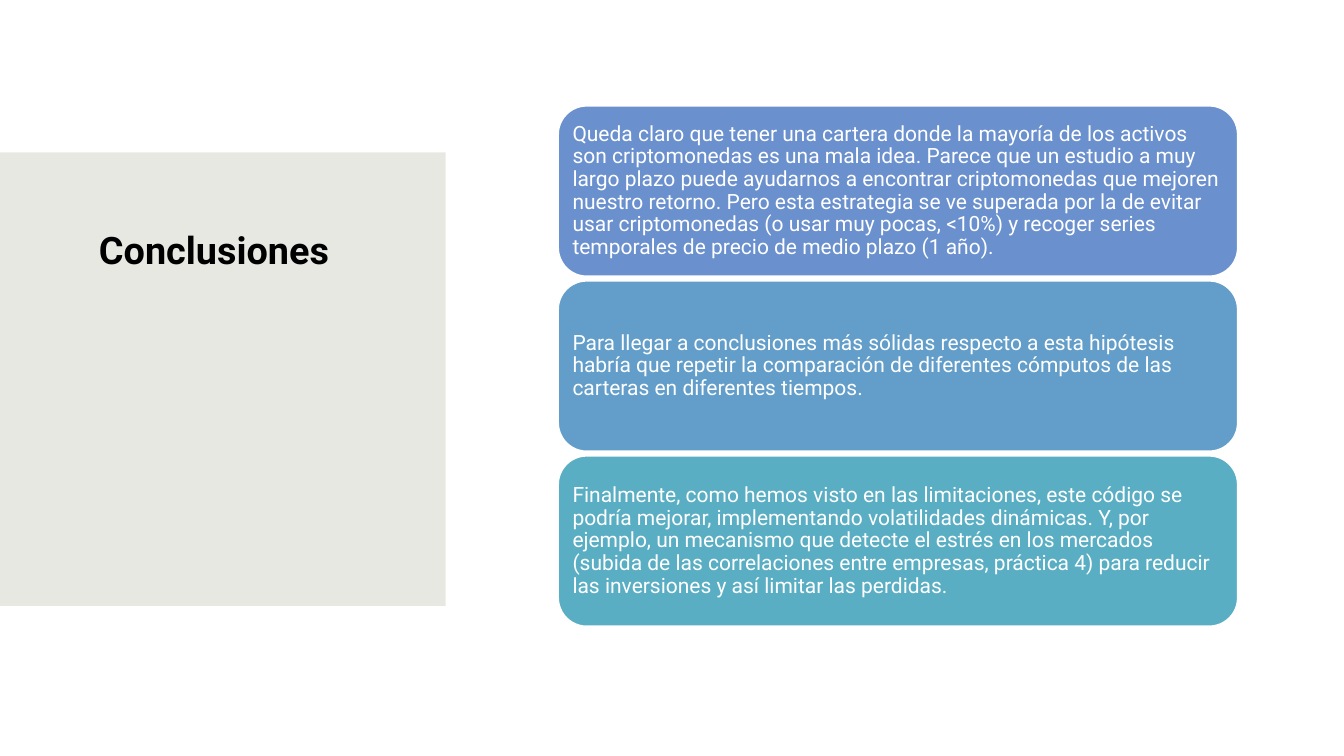
import pptx
import pptx.dml.color
import pptx.enum.shapes
import pptx.enum.text
import pptx.util

Cm = pptx.util.Cm
Pt = pptx.util.Pt
SHAPE = pptx.enum.shapes.MSO_SHAPE
ANCHOR = pptx.enum.text.MSO_ANCHOR

FONT = "Roboto"
CARD_TOP = 2.67
CARD_STEP = 4.41
CONCLUSIONS = [
    ("6A90CE", "Queda claro que tener una cartera donde la mayoría de los activos son "
     "criptomonedas es una mala idea. Parece que un estudio a muy largo plazo puede "
     "ayudarnos a encontrar criptomonedas que mejoren nuestro retorno. Pero esta "
     "estrategia se ve superada por la de evitar usar criptomonedas (o usar muy pocas, "
     "<10%) y recoger series temporales de precio de medio plazo (1 año)."),
    ("629EC9", "Para llegar a conclusiones más sólidas respecto a esta hipótesis habría "
     "que repetir la comparación de diferentes cómputos de las carteras en diferentes "
     "tiempos."),
    ("5AAEC3", "Finalmente, como hemos visto en las limitaciones, este código se podría "
     "mejorar, implementando volatilidades dinámicas. Y, por ejemplo, un mecanismo que "
     "detecte el estrés en los mercados (subida de las correlaciones entre empresas, "
     "práctica 4) para reducir las inversiones y así limitar las perdidas."),
]


def color(value):
    return pptx.dml.color.RGBColor.from_string(value)


def add_box(slide, kind, left, top, width, height, fill):
    box = slide.shapes.add_shape(kind, Cm(left), Cm(top), Cm(width), Cm(height))
    box.shadow.inherit = False
    box.fill.solid()
    box.fill.fore_color.rgb = color(fill)
    return box


def write_text(box, text, size, ink, anchor, bold=False):
    frame = box.text_frame
    frame.text = text
    frame.word_wrap = True
    frame.auto_size = pptx.enum.text.MSO_AUTO_SIZE.NONE
    frame.vertical_anchor = anchor
    para = frame.paragraphs[0]
    para.alignment = pptx.enum.text.PP_ALIGN.LEFT
    para.line_spacing = 0.9
    para.font.name = FONT
    para.font.size = Pt(size)
    para.font.bold = bold
    para.font.color.rgb = color(ink)


def add_title(slide, text):
    title = slide.shapes.title
    title.left, title.top = Cm(2.24), Cm(5.72)
    title.width, title.height = Cm(7.32), Cm(7.37)
    write_text(title, text, 27, "000000", ANCHOR.TOP, bold=True)
    panel = add_box(slide, SHAPE.RECTANGLE, 0, 3.84, 11.23, 11.43, "E8E8E2")
    panel.line.fill.background()
    title.element.addprevious(panel.element)


def add_card(slide, top, fill, text):
    card = add_box(slide, SHAPE.ROUNDED_RECTANGLE, 14.07, top, 17.12, 4.29, fill)
    card.line.color.rgb = color("FFFFFF")
    card.line.width = Pt(1)
    write_text(card, text, 15, "FFFFFF", ANCHOR.MIDDLE)
    frame = card.text_frame
    frame.margin_left = frame.margin_right = Cm(0.15)
    frame.margin_top = frame.margin_bottom = Cm(0.15)


def main():
    deck = pptx.Presentation()
    deck.slide_width, deck.slide_height = Cm(33.87), Cm(19.05)
    slide = deck.slides.add_slide(deck.slide_layouts.get_by_name("Title Only"))
    add_title(slide, "Conclusiones")
    for index, (fill, text) in enumerate(CONCLUSIONS):
        add_card(slide, CARD_TOP + index * CARD_STEP, fill, text)
    deck.save("out.pptx")


if __name__ == "__main__":
    main()
